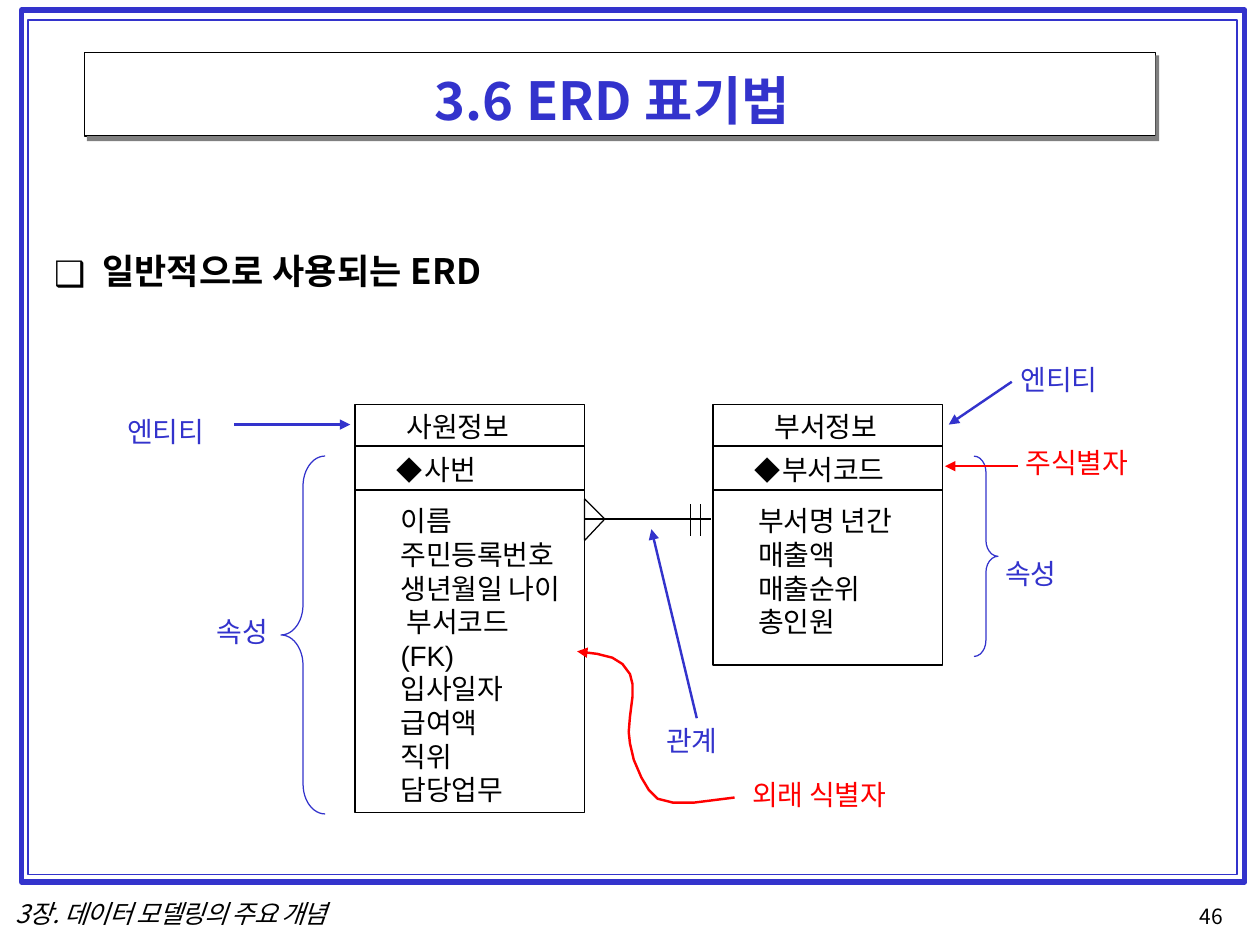
from dataclasses import dataclass

from lxml.etree import SubElement
from pptx import Presentation
from pptx.dml.color import RGBColor
from pptx.enum.shapes import MSO_CONNECTOR, MSO_SHAPE
from pptx.enum.text import MSO_ANCHOR, MSO_AUTO_SIZE, PP_ALIGN
from pptx.oxml.ns import qn
from pptx.util import Emu, Pt

PX = 9144  # one px is a hundredth of an inch
COLORS = {"blue": "3333CC", "red": "FF0000", "black": "000000", "gray": "808080"}
KOREAN, LATIN = "Noto Sans CJK KR", "Arial"


@dataclass(frozen=True)
class Box:
    left: int
    top: int
    width: int
    height: int

    def emu(self) -> list[Emu]:
        return [Emu(v * PX) for v in (self.left, self.top, self.width, self.height)]


@dataclass(frozen=True)
class Style:
    size: float = 16
    leading: float = 19.2
    color: str = "black"
    bold: bool = False
    italic: bool = False
    spacing: int = -10
    font: str = KOREAN


@dataclass(frozen=True)
class Line:
    text: str
    margin: int = 1
    hanging: int = 0
    bullet: str = ""
    bullet_size: int = 100
    font: str = KOREAN


@dataclass(frozen=True)
class Label:
    text: str
    box: Box
    color: str = "blue"


@dataclass(frozen=True)
class Arrow:
    start: tuple[int, int]
    end: tuple[int, int]
    color: str = "blue"


@dataclass(frozen=True)
class Entity:
    left: int
    name: Line
    key: str
    attributes: list[Line]
    list_height: int


def rgb(name: str) -> RGBColor:
    return RGBColor.from_string(COLORS[name])


def set_values(target, values: dict) -> None:
    for name, value in values.items():
        setattr(target, name, value)


def write(shape, lines: list[Line], style: Style, inset: int = 1) -> None:
    frame = shape.text_frame
    set_values(frame, {
        "word_wrap": True, "auto_size": MSO_AUTO_SIZE.NONE,
        "vertical_anchor": MSO_ANCHOR.TOP, "margin_left": 0, "margin_right": 0,
        "margin_top": Emu(inset * PX), "margin_bottom": 0,
    })
    for number, line in enumerate(lines):
        para = frame.add_paragraph() if number else frame.paragraphs[0]
        set_values(para, {"alignment": PP_ALIGN.LEFT, "space_before": Pt(0),
                          "space_after": Pt(0), "line_spacing": Pt(style.leading)})
        props = para._p.get_or_add_pPr()
        props.set("marL", str(line.margin * PX))
        props.set("indent", str(-line.hanging * PX))
        if line.bullet:
            SubElement(props, qn("a:buSzPct")).set("val", str(line.bullet_size * 1000))
            SubElement(props, qn("a:buFont")).set("typeface", KOREAN)
            SubElement(props, qn("a:buChar")).set("char", line.bullet)
        else:
            SubElement(props, qn("a:buNone"))
        span = para.add_run()
        span.text = line.text
        set_values(span.font, {"size": Pt(style.size), "bold": style.bold,
                               "italic": style.italic, "name": line.font})
        span.font.color.rgb = rgb(style.color)
        span_props = span._r.get_or_add_rPr()
        span_props.set("spc", str(style.spacing))
        SubElement(span_props, qn("a:ea")).set("typeface", line.font)


def outline(shape, color: str, width: float) -> None:
    shape.shadow.inherit = False
    shape.fill.background()
    shape.line.color.rgb = rgb(color)
    shape.line.width = Pt(width)


def add_outlined(page, kind, box: Box, color: str, width: float):
    shape = page.shapes.add_shape(kind, *box.emu())
    outline(shape, color, width)
    return shape


def add_text(page, box: Box, text: str, style: Style, inset: int = 1, margin: int = 1) -> None:
    write(page.shapes.add_textbox(*box.emu()), [Line(text, margin)], style, inset)


def add_path(page, points: list[tuple[int, int]], close: bool):
    builder = page.shapes.build_freeform(*points[0], scale=PX)
    builder.add_line_segments(points[1:], close=close)
    return builder.convert_to_shape()


def add_arrowhead(shape) -> None:
    head = SubElement(shape.line._get_or_add_ln(), qn("a:tailEnd"))
    head.set("type", "triangle")


def add_line(page, start: tuple[int, int], end: tuple[int, int], color: str, width: float):
    ends = [Emu(v * PX) for v in (*start, *end)]
    line = page.shapes.add_connector(MSO_CONNECTOR.STRAIGHT, *ends)
    line.line.color.rgb = rgb(color)
    line.line.width = Pt(width)
    SubElement(line._element.spPr, qn("a:effectLst"))
    return line


def add_entity(page, entity: Entity) -> None:
    key = Line(entity.key, 55, 22, "◆", 93)
    rows = [(33, 4, [entity.name]), (35, 5, [key]),
            (entity.list_height, 11, entity.attributes)]
    top = 321
    for height, inset, lines in rows:
        box = Box(entity.left, top, 182, height)
        write(add_outlined(page, MSO_SHAPE.RECTANGLE, box, "black", 0.96), lines, Style(), inset)
        top += height


def attribute_lines(*texts: str) -> list[Line]:
    return [Line(text, 36) for text in texts]


ENTITIES = [
    Entity(282, Line("사원정보", 41), "사번",
           [*attribute_lines("이름", "주민등록번호", "생년월일 나이"),
            Line("부서코드", 41), Line("(FK)", 36, font=LATIN),
            *attribute_lines("입사일자", "급여액", "직위", "담당업무")], 256),
    Entity(566, Line("부서정보", 49), "부서코드",
           attribute_lines("부서명 년간", "매출액", "매출순위", "총인원"), 139),
]
LABELS = [
    Label("속성", Box(171, 487, 47, 29)),
    Label("속성", Box(797, 441, 47, 29)),
    Label("엔티티", Box(809, 287, 69, 29)),
    Label("엔티티", Box(100, 328, 69, 29)),
    Label("관계", Box(528, 573, 47, 29)),
    Label("주식별자", Box(813, 353, 91, 29), "red"),
    Label("외래 식별자", Box(596, 616, 119, 29), "red"),
]
ARROWS = [
    Arrow((186, 337), (278, 337)),
    Arrow((553, 570), (517, 420)),
    Arrow((803, 303), (753, 337)),
    Arrow((808, 370), (750, 370), "red"),
]
BRACES = [(MSO_SHAPE.LEFT_BRACE, Box(223, 362, 35, 284)),
          (MSO_SHAPE.RIGHT_BRACE, Box(773, 362, 19, 159))]
FOREIGN_KEY_CURVE = [
    (583, 633), (567, 635), (551, 637), (534, 637), (522, 634), (515, 627),
    (509, 617), (503, 603), (500, 590), (499, 581), (500, 569), (502, 553),
    (502, 543), (500, 535), (494, 527), (486, 522), (474, 519), (458, 517)]


def main() -> None:
    deck = Presentation()
    deck.slide_width, deck.slide_height = Emu(1000 * PX), Emu(750 * PX)
    page = deck.slides.add_slide(deck.slide_layouts[1])

    # Page border and title frame
    for box, color, width in [(Box(17, 8, 971, 692), "blue", 3),
                              (Box(22, 16, 960, 678), "blue", 0.96),
                              (Box(67, 42, 850, 66), "black", 0.72)]:
        add_outlined(page, MSO_SHAPE.RECTANGLE, box, color, width)
    edge = add_path(page, [(917, 44), (920, 44), (920, 112), (69, 112),
                           (69, 108), (917, 108)], True)
    edge.shadow.inherit = False
    edge.fill.solid()
    edge.fill.fore_color.rgb = rgb("gray")
    edge.line.fill.background()

    # Title and heading
    title, body = page.shapes.title, page.placeholders[1]
    for holder, box in [(title, Box(67, 50, 849, 53)), (body, Box(42, 196, 359, 36))]:
        set_values(holder, dict(zip(("left", "top", "width", "height"), box.emu())))
    write(title, [Line("3.6 ERD 표기법", 278)], Style(30, 38, "blue", True, spacing=10))
    write(body, [Line("일반적으로 사용되는 ERD", 39, 38, "❑")], Style(20, 25, bold=True, spacing=10))

    # Entities and their relationship
    for entity in ENTITIES:
        add_entity(page, entity)
    add_line(page, (464, 412), (564, 412), "black", 0.96)
    for x in (548, 556):
        add_line(page, (x, 400), (x, 425), "black", 0.96)
    outline(add_path(page, [(464, 396), (480, 412), (464, 429)], True), "black", 0.72)

    # Braces, arrows and labels
    for kind, box in BRACES:
        add_outlined(page, kind, box, "blue", 0.72).adjustments[0] = 0.68
    for arrow in ARROWS:
        add_arrowhead(add_line(page, arrow.start, arrow.end, arrow.color, 1.4))
    curve = add_path(page, FOREIGN_KEY_CURVE, False)
    outline(curve, "red", 1.4)
    add_arrowhead(curve)
    for label in LABELS:
        add_text(page, label.box, label.text, Style(color=label.color))

    # Footer
    add_text(page, Box(11, 714, 280, 23), "3장. 데이터 모델링의 주요 개념",
             Style(14.5, 16.6, italic=True, spacing=-50), 0)
    add_text(page, Box(948, 718, 29, 19), "46", Style(12, 13.7, spacing=0), 0, 4)

    deck.save("out.pptx")


if __name__ == "__main__":
    main()
